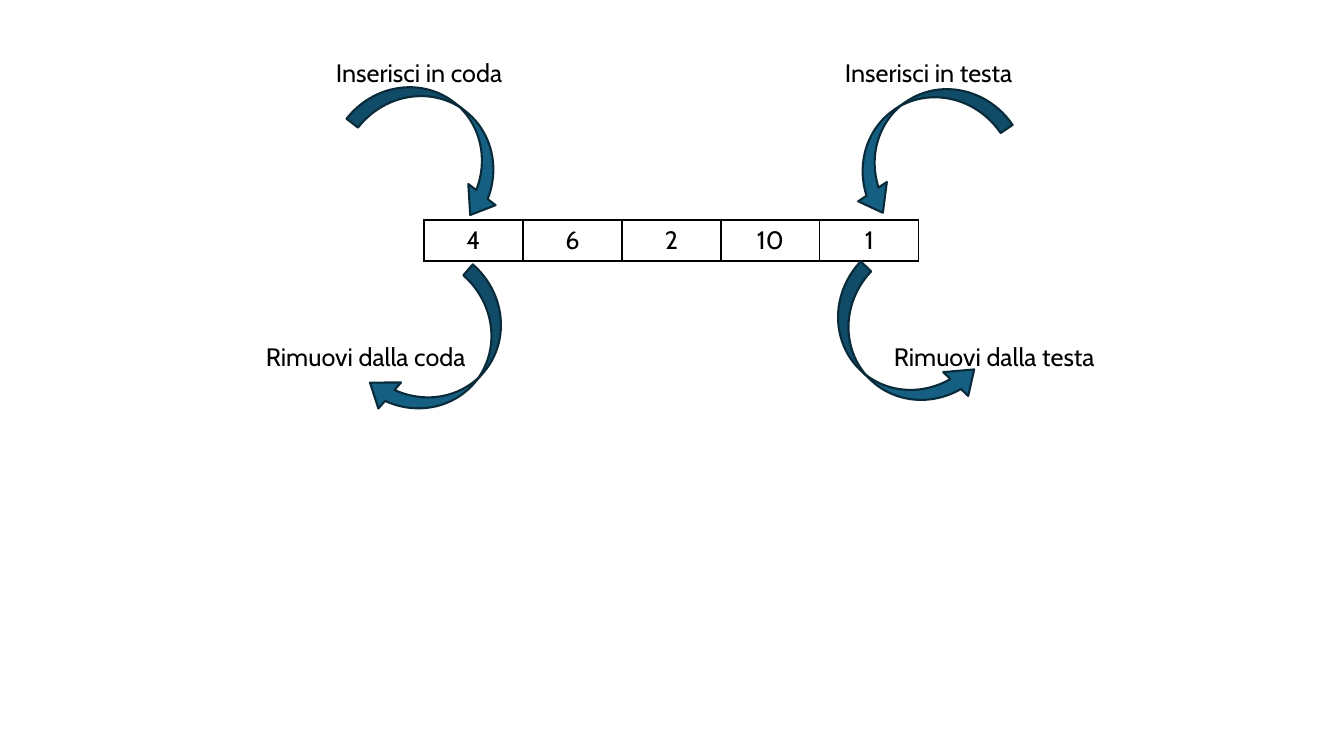
from lxml import etree
from pptx import Presentation
from pptx.dml.color import RGBColor
from pptx.enum.shapes import MSO_SHAPE
from pptx.enum.text import MSO_AUTO_SIZE, PP_ALIGN
from pptx.oxml.ns import qn
from pptx.util import Emu, Pt

ARROW = MSO_SHAPE.CURVED_LEFT_ARROW
GROW = MSO_AUTO_SIZE.SHAPE_TO_FIT_TEXT
CENTER = PP_ALIGN.CENTER
HUES = {"ink": "000000", "arrow": "156082", "edge": "092A39"}


def px(*nums):
    return [Emu(round(n * 914400 / 100.8)) for n in nums]


def style(para):
    para.font.name = "Cabin"
    para.font.size = Pt(18)
    para.font.color.rgb = RGBColor.from_string(HUES["ink"])


deck = Presentation()
deck.slide_width, deck.slide_height = px(1344, 756)
slide = deck.slides.add_slide(deck.slide_layouts[6])

# Queue cells
queue = ["4", "6", "2", "10", "1"]
table = slide.shapes.add_table(1, len(queue), *px(424, 220, 495, 41)).table
table.first_row = table.horz_banding = False
for col, value in enumerate(queue):
    table.columns[col].width = px(99)[0]
    cell = table.cell(0, col)
    cell.text = value
    para = cell.text_frame.paragraphs[0]
    para.alignment = CENTER
    style(para)
    props = cell._tc.get_or_add_tcPr()
    for side in ("lnL", "lnR", "lnT", "lnB"):
        line = etree.SubElement(props, qn("a:" + side), w=str(Pt(1)))
        fill = etree.SubElement(line, qn("a:solidFill"))
        etree.SubElement(fill, qn("a:srgbClr"), val=HUES["ink"])
    cell.fill.background()

# Curved arrows: left, top, angle, flips
arrows = [
    (857, 263, 133.6, ["flipV"]),
    (879, 54, 55.9, ["flipH"]),
    (406, 269, 221, ["flipH", "flipV"]),
    (400, 54, 307.9, []),
]
for left, top, angle, flips in arrows:
    arrow = slide.shapes.add_shape(ARROW, *px(left, top, 79, 174))
    arrow.shadow.inherit = False
    arrow.rotation = angle
    for flip in flips:
        arrow._element.spPr.xfrm.set(flip, "1")
    for i, share in enumerate((0.183, 0.437, 0.295)):
        arrow.adjustments[i] = share
    arrow.fill.solid()
    arrow.fill.fore_color.rgb = RGBColor.from_string(HUES["arrow"])
    arrow.line.color.rgb = RGBColor.from_string(HUES["edge"])
    arrow.line.width = Pt(1.5)

# Labels: text, left, top, width
labels = [
    ("Inserisci in coda", 326, 52, 198),
    ("Inserisci in testa", 835, 52, 198),
    ("Rimuovi dalla testa", 884, 336, 229),
    ("Rimuovi dalla coda", 256, 336, 229),
]
for text, left, top, width in labels:
    frame = slide.shapes.add_textbox(*px(left, top, width, 40)).text_frame
    frame.word_wrap = False
    frame.auto_size = GROW
    frame.text = text
    style(frame.paragraphs[0])

deck.save("out.pptx")
